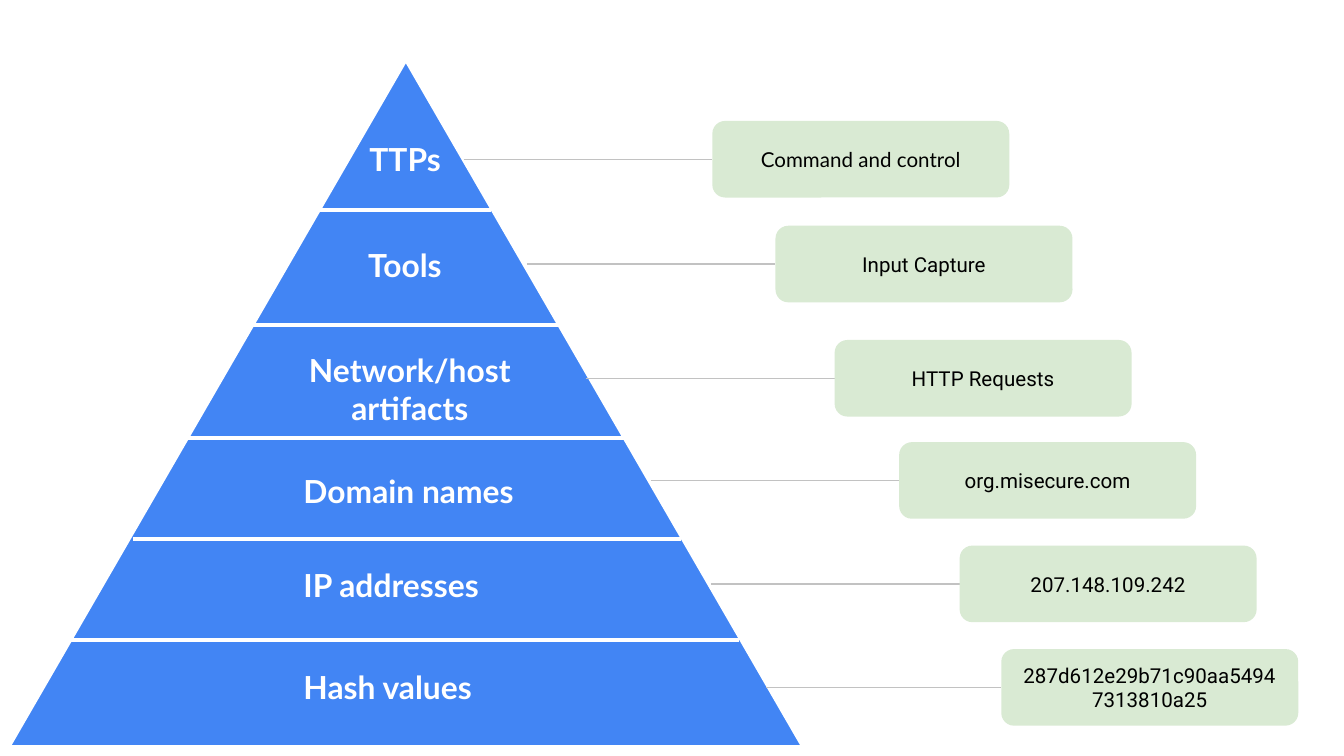
"""Draw a six-level indicator pyramid with an example beside each level."""
from dataclasses import dataclass

from lxml.etree import SubElement
from pptx import Presentation
from pptx.dml.color import RGBColor
from pptx.enum.shapes import MSO_CONNECTOR, MSO_SHAPE
from pptx.enum.text import MSO_ANCHOR, PP_ALIGN
from pptx.oxml.ns import qn
from pptx.shapes.autoshape import Shape
from pptx.util import Inches, Pt

COLORS = {"blue": "4285F4", "white": "FFFFFF", "green": "D9EAD3",
          "gray": "C2C2C2", "black": "000000"}
PAGE = {"slide_width": Inches(10), "slide_height": Inches(10 * 9 / 16)}
LABEL = {"name": "Lato", "size": Pt(17), "bold": True}
NOTE = {"name": "Roboto", "size": Pt(11), "bold": False}
INSET = {f"margin_{side}": Inches(0.1)
         for side in ("left", "top", "right", "bottom")}
BOX_WIDTH, BOX_HEIGHT = 2.21, 0.57


@dataclass
class Level:
    """One pyramid level: its label and its example box."""
    label: str
    left: float
    top: float
    width: float
    note: str
    box_left: float
    box_top: float
    height: float = 0.49
    align: PP_ALIGN = PP_ALIGN.LEFT
    font: str = "Roboto"
    reach: float = 1.85


@dataclass
class Cut:
    """A horizontal line from left to right."""
    left: float
    right: float
    top: float


LEVELS = [
    Level("TTPs", 2.65, 0.94, 0.88, "Command and control", 5.3, 0.9, font="Lato"),
    Level("Tools", 2.64, 1.73, 0.88, "Input Capture", 5.77, 1.68),
    Level("Network/host artifacts", 1.96, 2.51, 2.18, "HTTP Requests", 6.21, 2.53,
          height=0.77, align=PP_ALIGN.CENTER),
    Level("Domain names", 2.16, 3.41, 2.24, "org.misecure.com", 6.69, 3.29),
    Level("IP addresses", 2.16, 4.11, 2.24, "207.148.109.242", 7.14, 4.06),
    Level("Hash values", 2.16, 4.87, 2.24, "287d612e29b71c90aa54947313810a25",
          7.45, 4.83, reach=1.75),
]
CUTS = [Cut(2.38, 3.65, 1.56), Cut(1.88, 4.17, 2.42), Cut(1.39, 4.64, 3.26),
        Cut(0.99, 5.07, 4.01), Cut(0.53, 5.5, 4.76)]


def color(name: str) -> RGBColor:
    """Look up a named colour."""
    return RGBColor.from_string(COLORS[name])


def apply(target: object, values: dict) -> None:
    """Set each attribute in the format values."""
    for key, value in values.items():
        setattr(target, key, value)


def write(shape: Shape, text: str, style: dict, ink: str, align: PP_ALIGN) -> None:
    """Put formatted text into a shape."""
    frame = shape.text_frame
    apply(frame, INSET | {"word_wrap": True})
    line = frame.paragraphs[0]
    line.alignment = align
    run = line.add_run()
    run.text = text
    apply(run.font, style)
    run.font.color.rgb = color(ink)


def draw_line(shapes, kind: MSO_CONNECTOR, cut: Cut, ink: str, weight: float) -> None:
    """Draw a horizontal connector without a shadow."""
    line = shapes.add_connector(kind, Inches(cut.left), Inches(cut.top),
                                Inches(cut.right), Inches(cut.top))
    line.line.color.rgb = color(ink)
    line.line.width = Pt(weight)
    SubElement(line._element.spPr, qn("a:effectLst"))


def draw_shape(shapes, kind: MSO_SHAPE, left: float, top: float,
               width: float, height: float, fill: str) -> Shape:
    """Draw a plain filled shape."""
    shape = shapes.add_shape(kind, Inches(left), Inches(top),
                             Inches(width), Inches(height))
    shape.shadow.inherit = False
    shape.fill.solid()
    shape.fill.fore_color.rgb = color(fill)
    shape.line.fill.background()
    return shape


def draw_pyramid(shapes) -> None:
    """Draw the triangle and its dividing lines as a group."""
    group = shapes.add_group_shape().shapes
    peak = draw_shape(group, MSO_SHAPE.ISOSCELES_TRIANGLE,
                      0.06, 0.44, 5.92, 5.12, "blue")
    peak.line.color.rgb = color("white")
    peak.line.width = Pt(2.25)
    for cut in CUTS:
        draw_line(group, MSO_CONNECTOR.STRAIGHT, cut, "white", 2.25)


def draw_label(shapes, level: Level) -> None:
    """Write a level's name on the pyramid."""
    box = shapes.add_textbox(Inches(level.left), Inches(level.top),
                             Inches(level.width), Inches(level.height))
    write(box, level.label, LABEL, "white", level.align)


def draw_note(shapes, level: Level) -> None:
    """Draw a level's example box and the line that leads to it."""
    lead = Cut(level.box_left - level.reach, level.box_left,
               level.box_top + BOX_HEIGHT / 2)
    draw_line(shapes, MSO_CONNECTOR.ELBOW, lead, "gray", 0.75)
    box = draw_shape(shapes, MSO_SHAPE.ROUNDED_RECTANGLE, level.box_left,
                     level.box_top, BOX_WIDTH, BOX_HEIGHT, "green")
    box.text_frame.vertical_anchor = MSO_ANCHOR.MIDDLE
    write(box, level.note, NOTE | {"name": level.font}, "black", PP_ALIGN.CENTER)


def main() -> None:
    """Build and save the slide."""
    deck = Presentation()
    apply(deck, PAGE)
    shapes = deck.slides.add_slide(deck.slide_layouts[6]).shapes
    draw_pyramid(shapes)
    for draw in (draw_label, draw_note):
        for level in LEVELS:
            draw(shapes, level)
    deck.save("out.pptx")


if __name__ == "__main__":
    main()
